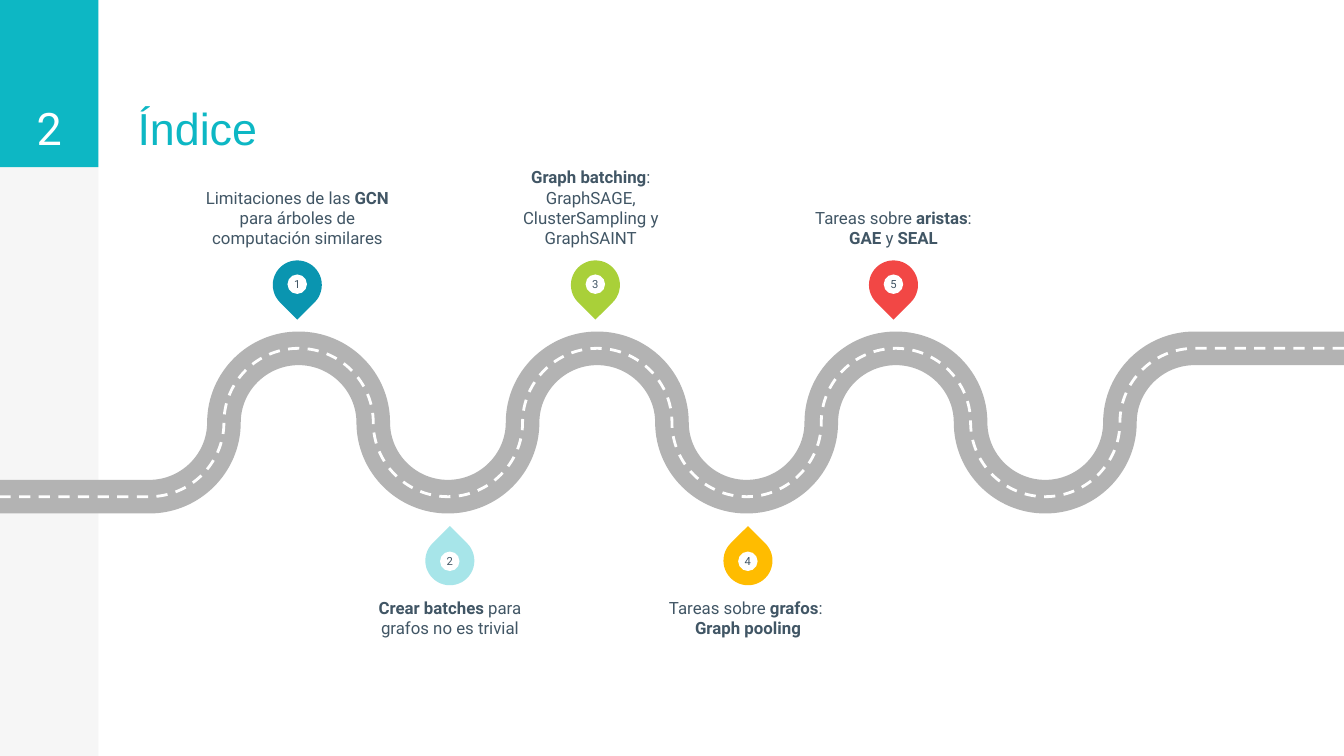
from dataclasses import dataclass

from lxml.etree import SubElement
from pptx import Presentation
from pptx.dml.color import RGBColor
from pptx.enum.dml import MSO_LINE
from pptx.enum.shapes import MSO_SHAPE as Preset
from pptx.enum.text import MSO_ANCHOR as Anchor, PP_ALIGN as Align
from pptx.oxml.ns import qn
from pptx.util import Inches, Pt

TEAL = RGBColor(0x0D, 0xB7, 0xC4)
PALE = RGBColor(0xF6, 0xF6, 0xF6)
WHITE = RGBColor(0xFF, 0xFF, 0xFF)
SLATE = RGBColor(0x41, 0x56, 0x65)
ROAD_GREY = RGBColor(0xB3, 0xB3, 0xB3)
BLUE = RGBColor(0x0A, 0x95, 0xB0)
AQUA = RGBColor(0xA7, 0xE5, 0xE9)
GREEN = RGBColor(0xA9, 0xD0, 0x39)
AMBER = RGBColor(0xFF, 0xBC, 0x00)
RED = RGBColor(0xF2, 0x47, 0x45)

# Lengths are in units of a square grid, 100 columns wide
WIDTH, HEIGHT = Inches(10), Inches(5.625)
UNIT = WIDTH / 100
COLUMNS, ROWS = 100, HEIGHT / UNIT

RAIL, HEADER = 7.32, 12.45
BEND = COLUMNS / 9  # one bend of the road per ninth of the slide
LAST_BEND = 8
ROAD_MIDDLE, ROAD_SWING = 31.44, 5.52
ROUNDNESS = 0.55  # handle length that makes a Bézier quarter circle
PIN, DOT, PIN_STEP = 3.65, 1.45, 11.09
LABEL_WIDTH = 14.1


@dataclass(frozen=True)
class Side:
    """Where pins and labels sit on one side of the road."""
    pin_start: float
    pin_y: float
    dot_y: float
    rotation: int
    label_top: float
    anchor: Anchor


@dataclass(frozen=True)
class Stop:
    """A topic along the road."""
    number: int
    colour: RGBColor
    side: Side
    label: str  # **bold** parts, one line per paragraph
    label_shift: float = 0
    label_height: float = 5.8


ABOVE = Side(11.03, 21.2, 21.15, 135, 12.65, Anchor.BOTTOM)
BELOW = Side(11.29, 41.72, 41.77, 315, 44.45, Anchor.TOP)

STOPS = [
    Stop(1, BLUE, ABOVE, "Limitaciones de las **GCN **para árboles de computación similares"),
    Stop(3, GREEN, ABOVE, "**Graph batching**: GraphSAGE, ClusterSampling y GraphSAINT",
         label_shift=-0.35),
    Stop(5, RED, ABOVE, "Tareas sobre **aristas**: **GAE **y** SEAL**"),
    Stop(4, AMBER, BELOW, "Tareas sobre **grafos**: \n**Graph pooling**", label_height=7.7),
    Stop(2, AQUA, BELOW, "**Crear batches** para grafos no es trivial"),
]


def emu(*lengths: float) -> list[int]:
    return [round(length * UNIT) for length in lengths]


def write(shape, text: str, *, size: float, colour: RGBColor = SLATE, font: str = "Roboto",
          align: Align = Align.CENTER, anchor: Anchor = Anchor.MIDDLE, inset: float = 0) -> None:
    frame = shape.text_frame
    frame.word_wrap = True
    frame.vertical_anchor = anchor
    frame.margin_left = frame.margin_right = Inches(inset)
    frame.margin_top = frame.margin_bottom = Inches(inset)
    for row, line in enumerate(text.split("\n")):
        paragraph = frame.add_paragraph() if row else frame.paragraphs[0]
        paragraph.alignment = align
        for part, words in enumerate(line.split("**")):
            if words:
                run = paragraph.add_run()
                run.text = words
                run.font.name, run.font.size = font, Pt(size)
                run.font.bold = part % 2 == 1
                run.font.color.rgb = colour


def add_filled(shapes, preset: Preset, x: float, y: float, w: float, h: float, colour: RGBColor):
    shape = shapes.add_shape(preset, *emu(x, y, w, h))
    shape.shadow.inherit = False
    shape.fill.solid()
    shape.fill.fore_color.rgb = colour
    shape.line.fill.background()
    return shape


def add_text(shapes, x: float, y: float, w: float, h: float, text: str, **style) -> None:
    write(shapes.add_textbox(*emu(x, y, w, h)), text, **style)


def road_knots() -> list[list[int]]:
    """Quarter points of the bends, right to left: crests on even bends, troughs on odd."""
    knots = [(COLUMNS, ROAD_MIDDLE - ROAD_SWING)]
    for bend in range(LAST_BEND, 0, -1):
        knots.append((bend * BEND, ROAD_MIDDLE + (ROAD_SWING if bend % 2 else -ROAD_SWING)))
        if bend > 1:
            knots.append(((bend - 0.5) * BEND, ROAD_MIDDLE))
    knots.append((0, ROAD_MIDDLE + ROAD_SWING))
    return [emu(*knot) for knot in knots]


def round_bends(road) -> None:
    """Turn each slanting segment into a quarter arc, level at crests and troughs."""
    ends = [(int(pt.get("x")), int(pt.get("y"))) for pt in road.element.iter(qn("a:pt"))]
    segments = list(road.element.iter(qn("a:lnTo")))
    leaves_level = True
    for segment, (x0, y0), (x1, y1) in zip(segments, ends, ends[1:]):
        if y0 == y1:
            continue
        dx, dy = (x1 - x0) * ROUNDNESS, (y1 - y0) * ROUNDNESS
        if leaves_level:
            handles = [(x0 + dx, y0), (x1, y1 - dy)]
        else:
            handles = [(x0, y0 + dy), (x1 - dx, y1)]
        leaves_level = not leaves_level
        segment.tag = qn("a:cubicBezTo")
        segment.remove(segment[0])
        for x, y in [*handles, (x1, y1)]:
            SubElement(segment, qn("a:pt"), x=str(round(x)), y=str(round(y)))


def add_road(shapes, colour: RGBColor, width: float, dash: MSO_LINE | None = None) -> None:
    start, *rest = road_knots()
    builder = shapes.build_freeform(*start)
    builder.add_line_segments(rest, close=False)
    road = builder.convert_to_shape()
    round_bends(road)
    road.shadow.inherit = False
    road.fill.background()
    road.line.color.rgb = colour
    road.line.width = Pt(width)
    if dash:
        road.line.dash_style = dash


def add_marker(shapes, stop: Stop, centre: float) -> None:
    side = stop.side
    marker = shapes.add_group_shape().shapes
    pin = add_filled(marker, Preset.TEAR, centre - PIN / 2, side.pin_y - PIN / 2,
                     PIN, PIN, stop.colour)
    pin.rotation = side.rotation
    dot = add_filled(marker, Preset.OVAL, centre - DOT / 2, side.dot_y - DOT / 2,
                     DOT, DOT, WHITE)
    write(dot, str(stop.number), size=6)


def add_stop(shapes, stop: Stop) -> None:
    side = stop.side
    centre = side.pin_start + stop.number * PIN_STEP
    add_marker(shapes, stop, centre)
    add_text(shapes, centre + stop.label_shift - LABEL_WIDTH / 2, side.label_top,
             LABEL_WIDTH, stop.label_height, stop.label, size=9, anchor=side.anchor)


def main() -> None:
    deck = Presentation()
    deck.slide_width, deck.slide_height = WIDTH, HEIGHT
    shapes = deck.slides.add_slide(deck.slide_layouts[6]).shapes

    # Side rail, title and page number
    add_filled(shapes, Preset.RECTANGLE, 0, 0, RAIL, ROWS, PALE)
    add_filled(shapes, Preset.RECTANGLE, 0, 0, RAIL, HEADER, TEAL)
    add_text(shapes, 9.25, 0.1, 38.9, 12.4, "Índice", size=24, colour=TEAL,
             font="Arial", align=Align.LEFT, anchor=Anchor.BOTTOM, inset=0.1)
    add_text(shapes, 0, 0, RAIL, 12.5, "2", size=24, colour=WHITE,
             anchor=Anchor.BOTTOM, inset=0.1)

    # Winding road with its centre line
    add_road(shapes, ROAD_GREY, 18)
    add_road(shapes, WHITE, 1.5, MSO_LINE.DASH)

    # Topics along the road
    for stop in STOPS:
        add_stop(shapes, stop)

    deck.save("out.pptx")


if __name__ == "__main__":
    main()
